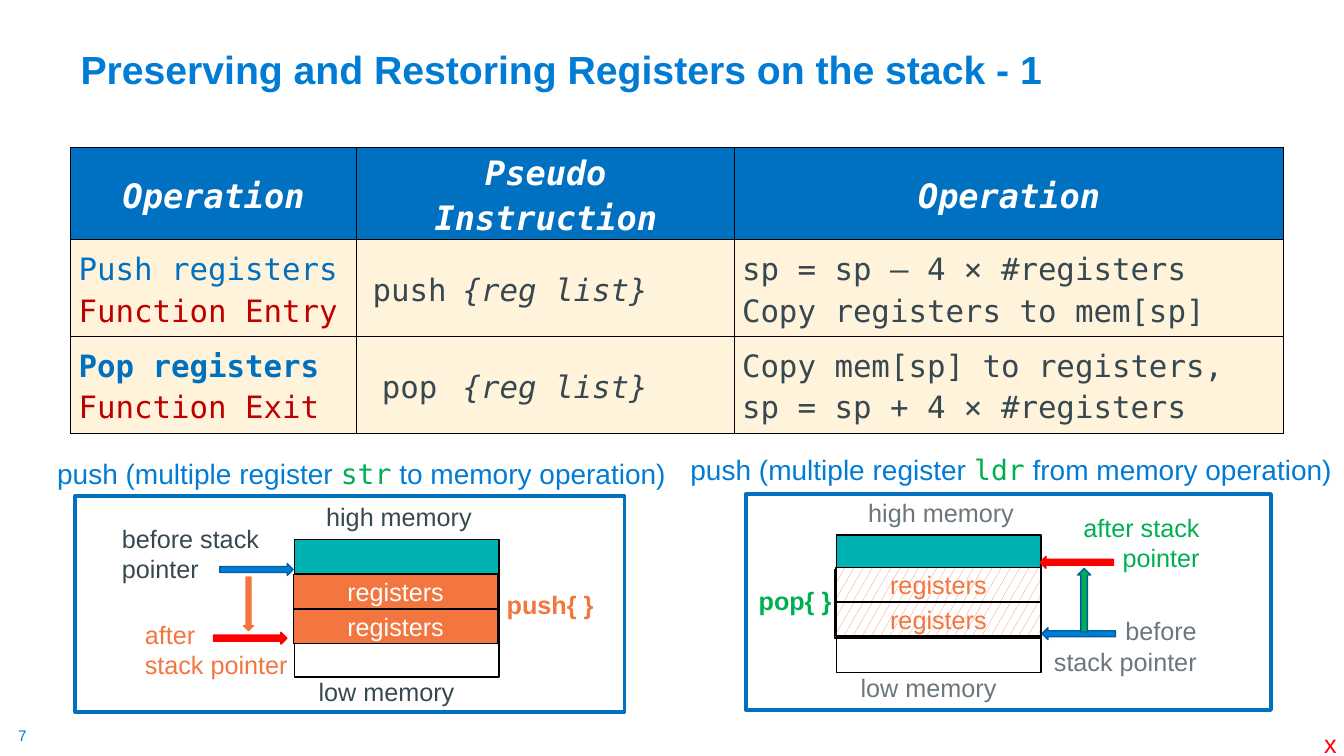
from lxml import etree
from pptx import Presentation
from pptx.dml.color import RGBColor
from pptx.enum.dml import MSO_PATTERN
from pptx.enum.shapes import MSO_SHAPE
from pptx.enum.text import MSO_ANCHOR, MSO_AUTO_SIZE, PP_ALIGN
from pptx.oxml.ns import qn
from pptx.util import Cm, Pt

RECTANGLE, LEFT_ARROW = MSO_SHAPE.RECTANGLE, MSO_SHAPE.LEFT_ARROW
CONFETTI = MSO_PATTERN.SMALL_CONFETTI
MIDDLE, BOTTOM = MSO_ANCHOR.MIDDLE, MSO_ANCHOR.BOTTOM
LEFT, CENTER, RIGHT = PP_ALIGN.LEFT, PP_ALIGN.CENTER, PP_ALIGN.RIGHT
GROW, FIXED = MSO_AUTO_SIZE.SHAPE_TO_FIT_TEXT, MSO_AUTO_SIZE.NONE

BLACK = RGBColor(0x00, 0x00, 0x00)
WHITE = RGBColor(0xFF, 0xFF, 0xFF)
BLUE = RGBColor(0x00, 0x7C, 0xD5)
DARK_BLUE = RGBColor(0x00, 0x5C, 0x9E)
TABLE_BLUE = RGBColor(0x00, 0x70, 0xC0)
CREAM = RGBColor(0xFF, 0xF4, 0xDB)
TEAL = RGBColor(0x00, 0xB2, 0xB1)
ORANGE = RGBColor(0xF3, 0x75, 0x3F)
GREEN = RGBColor(0x00, 0xB0, 0x50)
RED = RGBColor(0xFF, 0x00, 0x00)
DARK_RED = RGBColor(0xC0, 0x00, 0x00)
SLATE = RGBColor(0x38, 0x48, 0x51)
GRAY = RGBColor(0x6B, 0x76, 0x7D)

SANS, MONO = "Arial", "DejaVu Sans Mono"
CELL_WIDTH, CELL_HEIGHT, CELL_PITCH = 5.16, 0.86, 0.87


def set_font(font, size, color, name=SANS, bold=False, italic=False):
    font.name, font.size = name, Pt(size)
    font.bold, font.italic = bold, italic
    font.color.rgb = color


def add_text(slide, text, left, top, width, height, color, size=18,
             align=LEFT, bold=False, wrap=True):
    box = slide.shapes.add_textbox(Cm(left), Cm(top), Cm(width), Cm(height))
    frame = box.text_frame
    frame.word_wrap = wrap
    frame.auto_size = GROW
    frame.text = text
    for paragraph in frame.paragraphs:
        paragraph.alignment = align
        set_font(paragraph.font, size, color, bold=bold)
    return frame


def add_caption(slide, parts, left, top, width):
    """One line of text whose middle part is an instruction name."""
    frame = add_text(slide, "", left, top, width, 1.12, BLUE, 20)
    frame.margin_right = 0
    for text, name, color in zip(parts, (SANS, MONO, SANS), (BLUE, GREEN, BLUE)):
        run = frame.paragraphs[0].add_run()
        run.text = text
        set_font(run.font, 20, color, name)


def add_shape(slide, kind, left, top, width, height, fill, line, weight=1):
    shape = slide.shapes.add_shape(kind, Cm(left), Cm(top), Cm(width), Cm(height))
    shape.shadow.inherit = False
    if fill is None:
        shape.fill.background()
    else:
        shape.fill.solid()
        shape.fill.fore_color.rgb = fill
    shape.line.color.rgb = line
    shape.line.width = Pt(weight)
    return shape


def add_arrow(slide, left, top, fill, line, rotation=0, length=1.85, thickness=0.3):
    arrow = add_shape(slide, LEFT_ARROW, left, top, length, thickness, fill, line)
    arrow.rotation = rotation


def add_memory(slide, left, top, color):
    """Four memory cells between the high and low memory labels."""
    for index, fill in enumerate((TEAL, None, None, None)):
        add_shape(slide, RECTANGLE, left, top + index * CELL_PITCH,
                  CELL_WIDTH, CELL_HEIGHT, fill, BLACK)
    add_text(slide, "high memory", left + 0.55, top - 1.08, 4.22, 1.02, color, wrap=False)
    add_text(slide, "low memory", left + 0.36, top + 3.33, 3.96, 1.02, color, wrap=False)


def add_registers(slide, left, top, text="registers", hatched=False):
    for index in range(2):
        cell = add_shape(slide, RECTANGLE, left, top + index * CELL_PITCH,
                         CELL_WIDTH, CELL_HEIGHT, ORANGE, BLACK)
        if hatched:
            cell.fill.patterned()
            cell.fill.pattern = CONFETTI
            cell.fill.fore_color.rgb = ORANGE
            cell.fill.back_color.rgb = WHITE
        if text:
            frame = cell.text_frame
            frame.text = text
            frame.vertical_anchor = MIDDLE
            frame.paragraphs[0].alignment = CENTER
            set_font(frame.paragraphs[0].font, 18, ORANGE if hatched else WHITE)


def set_borders(cell, sides):
    """Black lines on the given sides, none on the others."""
    properties = cell._tc.get_or_add_tcPr()
    for side in "LRTB":
        line = etree.SubElement(properties, qn(f"a:ln{side}"), w=str(Pt(1)))
        if side in sides:
            fill = etree.SubElement(line, qn("a:solidFill"))
            etree.SubElement(fill, qn("a:srgbClr"), val=str(BLACK))
        else:
            etree.SubElement(line, qn("a:noFill"))


def fill_cell(cell, fill, sides, margins, align=LEFT):
    set_borders(cell, sides)
    cell.fill.solid()
    cell.fill.fore_color.rgb = fill
    cell.vertical_anchor = MIDDLE
    cell.margin_left, cell.margin_right = Cm(margins[0]), Cm(margins[1])
    cell.margin_top = cell.margin_bottom = Cm(margins[2])
    paragraph = cell.text_frame.paragraphs[0]
    paragraph.alignment = align
    paragraph.line_spacing = 1.15
    return paragraph


def add_operations_table(slide):
    widths, heights = (7.21, 2.67, 6.86, 13.82), (2.33, 2.44, 2.44)
    table = slide.shapes.add_table(len(heights), len(widths), Cm(1.78), Cm(3.71),
                                   Cm(sum(widths)), Cm(sum(heights))).table
    table.first_row = table.horz_banding = False
    for column, width in zip(table.columns, widths):
        column.width = Cm(width)
    for row, height in zip(table.rows, heights):
        row.height = Cm(height)

    # Header row
    table.cell(0, 1).merge(table.cell(0, 2))
    for index, text in enumerate(("Operation", "Pseudo Instruction", "", "Operation")):
        paragraph = fill_cell(table.cell(0, index), TABLE_BLUE, "LRTB", (0.19, 0.19, 0), CENTER)
        paragraph.text = text
        set_font(paragraph.font, 24, WHITE, MONO, bold=True, italic=True)

    # Instruction rows
    rows = (
        ("Push registers ", "Function Entry", False, "push",
         "sp = sp – 4 × #registers\nCopy registers to mem[sp]"),
        ("Pop registers ", "Function Exit", True, "pop",
         "Copy mem[sp] to registers, \nsp = sp + 4 × #registers"),
    )
    for index, (action, moment, bold, instruction, effect) in enumerate(rows, 1):
        paragraph = fill_cell(table.cell(index, 0), CREAM, "LRTB", (0.2, 0, 0.1))
        for text, color, heavy in ((action, TABLE_BLUE, bold), (moment, DARK_RED, False)):
            run = paragraph.add_run()
            run.text = text
            set_font(run.font, 22, color, MONO, bold=heavy)
        cells = (
            (instruction, "LTB", (0.18, 0.18, 0.1), CENTER, False),
            ("{reg list}", "RTB", (0, 0, 0.1), LEFT, True),
            (effect, "LRTB", (0.18, 0.18, 0.1), LEFT, False),
        )
        for column, (text, sides, margins, align, italic) in enumerate(cells, 1):
            paragraph = fill_cell(table.cell(index, column), CREAM, sides, margins, align)
            paragraph.text = text
            set_font(paragraph.font, 22, SLATE, MONO, italic=italic)


def add_push_diagram(slide):
    add_caption(slide, ("push (multiple register ", "str", " to memory operation)"),
                1.19, 11.38, 15.85)
    add_shape(slide, RECTANGLE, 1.9, 12.5, 13.84, 5.44, None, TABLE_BLUE, 2.75)
    add_memory(slide, 7.42, 13.59, SLATE)
    add_registers(slide, 7.39, 14.48)
    add_text(slide, "before stack\npointer", 2.82, 13.06, 4.6, 1.8, SLATE)
    add_text(slide, "after\nstack pointer", 3.4, 15.47, 5.94, 1.8, ORANGE)
    add_text(slide, "push{ }", 12.52, 14.73, 2.9, 1.02, ORANGE, bold=True)
    add_arrow(slide, 5.54, 14.2, BLUE, DARK_BLUE, 180)
    add_arrow(slide, 5.38, 15.93, RED, RED, 180)
    add_arrow(slide, 5.59, 15.09, ORANGE, ORANGE, 270, 1.35, 0.25)


def add_pop_diagram(slide):
    add_caption(slide, ("push (multiple register ", "ldr", " from memory operation)"),
                17.15, 11.28, 16.7)
    add_shape(slide, RECTANGLE, 18.8, 12.45, 13.23, 5.44, None, TABLE_BLUE, 2.75)
    add_memory(slide, 21.08, 13.48, GRAY)
    add_registers(slide, 21.03, 14.35, text="")
    add_registers(slide, 21.07, 14.3, hatched=True)
    add_text(slide, "before\nstack pointer", 26.04, 15.39, 4.37, 1.8, GRAY, align=RIGHT)
    add_text(slide, "after stack pointer", 26.57, 12.78, 3.91, 1.8, GREEN, align=RIGHT)
    add_text(slide, "pop{ }", 18.87, 14.63, 2.41, 1.02, GREEN, bold=True)
    add_arrow(slide, 26.26, 15.82, BLUE, DARK_BLUE)
    add_arrow(slide, 26.21, 14.02, RED, RED)
    add_arrow(slide, 26.52, 14.96, GREEN, DARK_BLUE, 90, 1.6, 0.33)


def main():
    presentation = Presentation()
    presentation.slide_width, presentation.slide_height = Cm(33.87), Cm(19.05)
    slide = presentation.slides.add_slide(presentation.slide_layouts[6])

    # Title
    title = add_text(slide, "Preserving and Restoring Registers on the stack - 1",
                     1.78, 1.17, 31.78, 1.3, BLUE, 28, bold=True)
    title.auto_size = FIXED
    title.vertical_anchor = BOTTOM
    title.paragraphs[0].line_spacing = 0.9

    # Table and stack diagrams
    add_operations_table(slide)
    add_push_diagram(slide)
    add_pop_diagram(slide)

    # Slide number and corner mark
    number = add_text(slide, "7", 0.46, 18.31, 0.48, 0.48, BLUE, 11, wrap=False)
    number.margin_left = number.margin_right = number.margin_top = number.margin_bottom = 0
    add_text(slide, "x", 33.12, 18.24, 0.84, 1.02, RED, wrap=False)

    presentation.save("out.pptx")


if __name__ == "__main__":
    main()
